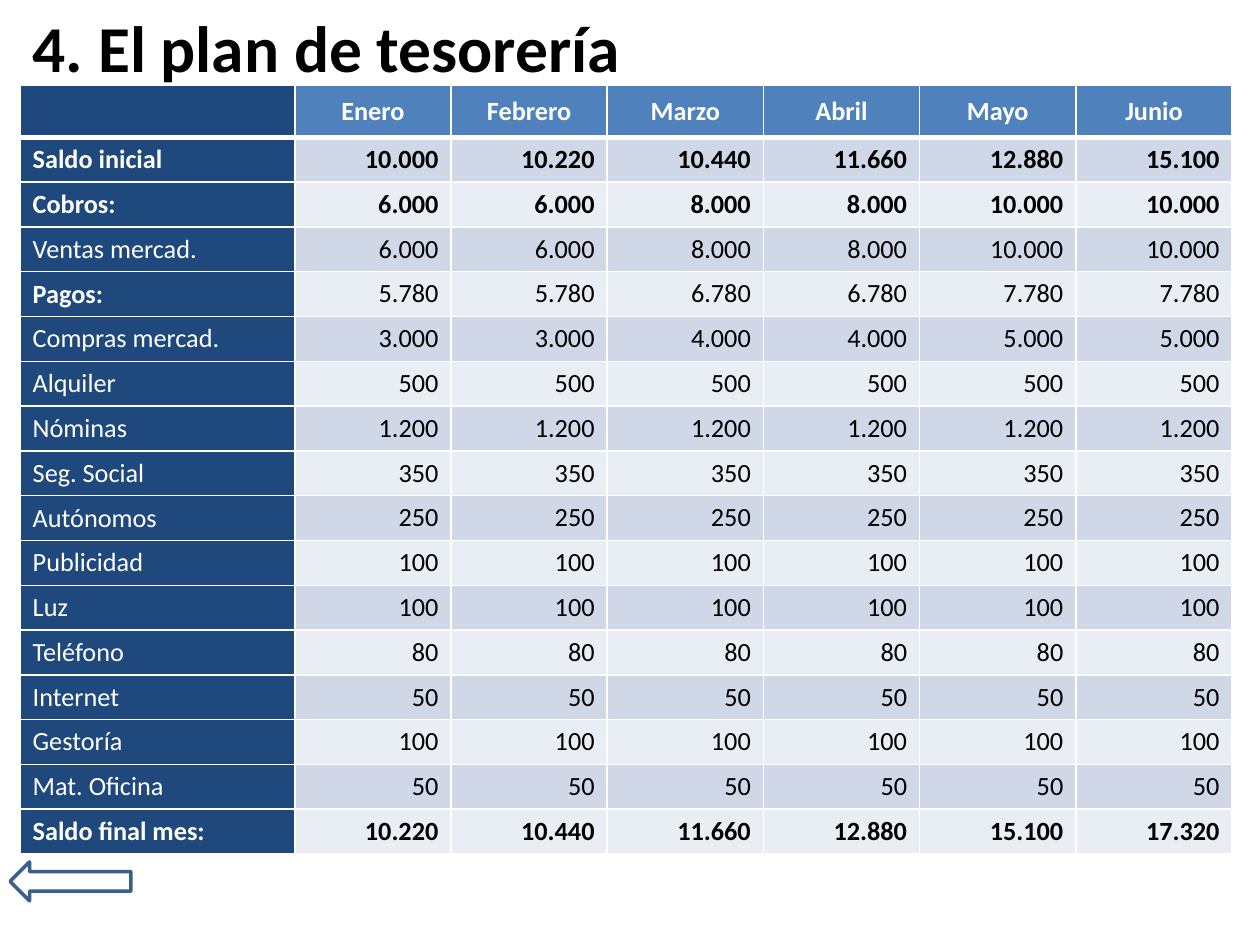
from lxml.etree import SubElement
from pptx import Presentation
from pptx.dml.color import RGBColor
from pptx.enum.shapes import MSO_SHAPE
from pptx.enum.text import MSO_ANCHOR, MSO_AUTO_SIZE, PP_ALIGN
from pptx.oxml.ns import qn
from pptx.util import Inches, Pt

WHITE, BLACK, NAVY, BLUE = "FFFFFF", "000000", "1F497D", "4F81BD"
BANDS = ["D0D8E8", "E9EDF4"]


def rgb(color):
    return RGBColor.from_string(color)


def fill_cell(cell, text, color, background, bold, align, top, bottom):
    """Write one cell; top and bottom are its border widths in points."""
    tcPr = cell._tc.get_or_add_tcPr()
    for side, width in {"L": 1, "R": 1, "T": top, "B": bottom}.items():
        ln = SubElement(tcPr, qn(f"a:ln{side}"), w=str(Pt(width)))
        SubElement(SubElement(ln, qn("a:solidFill")), qn("a:srgbClr"), val=WHITE)
    cell.fill.solid()
    cell.fill.fore_color.rgb = rgb(background)
    p = cell.text_frame.paragraphs[0]
    p.text, p.alignment = text, align
    for name, value in {"name": "Calibri", "size": Pt(15), "bold": bold}.items():
        setattr(p.font, name, value)
    p.font.color.rgb = rgb(color)


# Cash plan: totals and balances follow from the monthly amounts
months = ["Enero", "Febrero", "Marzo", "Abril", "Mayo", "Junio"]
sales = [6000, 6000, 8000, 8000, 10000, 10000]
payments = {"Compras mercad.": [amount // 2 for amount in sales]}
fixed = {
    "Alquiler": 500, "Nóminas": 1200, "Seg. Social": 350, "Autónomos": 250,
    "Publicidad": 100, "Luz": 100, "Teléfono": 80, "Internet": 50,
    "Gestoría": 100, "Mat. Oficina": 50,
}
for label, amount in fixed.items():
    payments[label] = [amount] * len(months)
paid = [sum(month) for month in zip(*payments.values())]
balances = [10000]
for income, expense in zip(sales, paid):
    balances.append(balances[-1] + income - expense)

rows = {
    "Saldo inicial": balances[:-1], "Cobros:": sales, "Ventas mercad.": sales,
    "Pagos:": paid, **payments, "Saldo final mes:": balances[1:],
}
bold_labels = {"Saldo inicial", "Cobros:", "Pagos:", "Saldo final mes:"}
bold_values = bold_labels - {"Pagos:"}

prs = Presentation()
prs.slide_width, prs.slide_height = Inches(10), Inches(7.5)
s = prs.slides.add_slide(prs.slide_layouts[5])
left, top = Inches(0.16), Inches(0.68)

# Title
title = s.shapes.title
box = {"left": left, "top": Inches(0.05), "width": Inches(9.42), "height": Inches(0.63)}
for name, value in box.items():
    setattr(title, name, value)
tf = title.text_frame
tf.auto_size, tf.vertical_anchor = MSO_AUTO_SIZE.NONE, MSO_ANCHOR.MIDDLE
p = tf.paragraphs[0]
p.text, p.alignment = "4. El plan de tesorería", PP_ALIGN.LEFT
for name, value in {"name": "Calibri", "size": Pt(37.4), "bold": True}.items():
    setattr(p.font, name, value)
p.font.color.rgb = rgb(BLACK)

# Return arrow
arrow = s.shapes.add_shape(
    MSO_SHAPE.LEFT_ARROW, Inches(0.08), Inches(6.84), Inches(0.96), Inches(0.31))
arrow.shadow.inherit = False
arrow.fill.background()
arrow.line.color.rgb, arrow.line.width = rgb("3A5F8C"), Pt(2)

# Table
table = s.shapes.add_table(
    len(rows) + 1, len(months) + 1, left, top, Inches(9.62), Inches(6.01)).table
for c, column in enumerate(table.columns):
    column.width = Inches(1.24 if c else 2.18)
for r, row in enumerate(table.rows):
    row.height = Inches(0.35 if r else 0.41)

for c, month in enumerate(["", *months]):
    fill_cell(table.cell(0, c), month, WHITE, BLUE if c else NAVY, True,
              PP_ALIGN.CENTER, 1, 3)
    table.cell(0, c).vertical_anchor = MSO_ANCHOR.MIDDLE

for r, (label, values) in enumerate(rows.items(), 1):
    edge = 3 if r == 1 else 1
    fill_cell(table.cell(r, 0), label, WHITE, NAVY, label in bold_labels,
              PP_ALIGN.LEFT, edge, 1)
    table.cell(r, 0).vertical_anchor = MSO_ANCHOR.MIDDLE
    for c, value in enumerate(values, 1):
        fill_cell(table.cell(r, c), f"{value:,}".replace(",", "."), BLACK,
                  BANDS[(r - 1) % 2], label in bold_values, PP_ALIGN.RIGHT, edge, 1)

prs.save("out.pptx")
